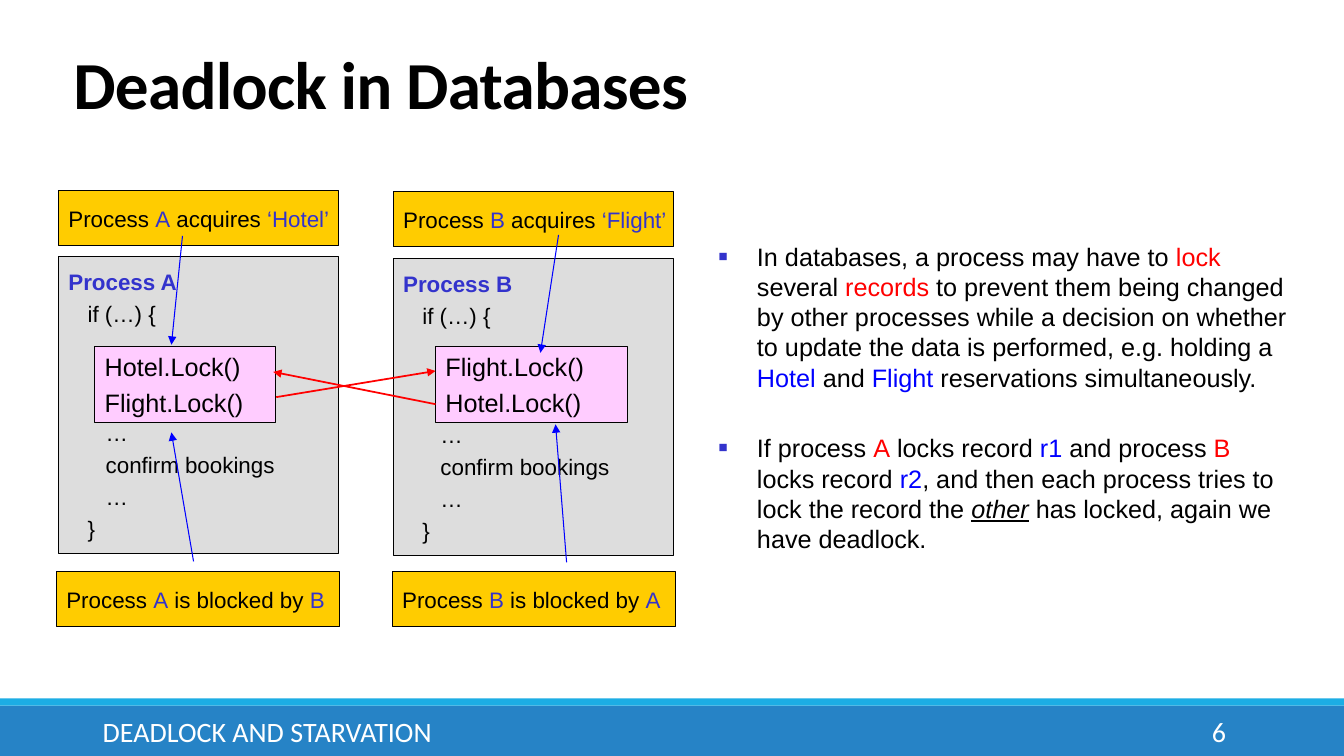
from lxml.etree import SubElement
from pptx import Presentation
from pptx.dml.color import RGBColor
from pptx.enum.shapes import MSO_CONNECTOR, MSO_SHAPE
from pptx.enum.text import MSO_ANCHOR, PP_ALIGN
from pptx.oxml.ns import qn
from pptx.util import Inches, Pt

BLACK = RGBColor(0x00, 0x00, 0x00)
WHITE = RGBColor(0xFF, 0xFF, 0xFF)
RED = RGBColor(0xFF, 0x00, 0x00)
BLUE = RGBColor(0x00, 0x00, 0xFF)
INDIGO = RGBColor(0x33, 0x33, 0xCC)
GREY = RGBColor(0xDD, 0xDD, 0xDD)
GOLD = RGBColor(0xFF, 0xCC, 0x00)
PINK = RGBColor(0xFF, 0xCC, 0xFF)
FOOTER_BLUE = RGBColor(0x26, 0x83, 0xC6)
FOOTER_CYAN = RGBColor(0x1C, 0xAD, 0xE4)


class DeadlockSlide:
    HEADING_FONT = "Calibri"
    BODY_FONT = "Arial"
    LINE_GAP = 0.23  # space before a paragraph, as a share of text size

    def __init__(self, slide):
        self.slide = slide

    def add_runs(self, paragraph, runs, size, font=BODY_FONT, color=BLACK):
        """Add runs given as plain strings or (text, color, styles) tuples."""
        for item in runs:
            text, run_color, *styles = (item, color) if isinstance(item, str) else item
            run = paragraph.add_run()
            run.text = text
            run.font.name = font
            run.font.size = Pt(size)
            run.font.color.rgb = run_color
            for style in styles:
                setattr(run.font, style, True)

    def band(self, top, height, color):
        band = self.slide.shapes.add_shape(
            MSO_SHAPE.RECTANGLE, 0, Inches(top), Inches(13.33), Inches(height))
        band.shadow.inherit = False
        band.fill.solid()
        band.fill.fore_color.rgb = color
        band.line.fill.background()

    def heading(self, left, top, width, height, text, size, color,
                anchor=MSO_ANCHOR.MIDDLE, align=PP_ALIGN.LEFT):
        """Add one line in the heading font and return its paragraph."""
        heading = self.slide.shapes.add_textbox(
            Inches(left), Inches(top), Inches(width), Inches(height))
        frame = heading.text_frame
        frame.word_wrap = True
        frame.vertical_anchor = anchor
        paragraph = frame.paragraphs[0]
        paragraph.alignment = align
        self.add_runs(paragraph, [text], size, self.HEADING_FONT, color)
        return paragraph

    def box(self, left, top, width, height, fill, lines, size):
        """Add an outlined box; each line is (indent, space before, runs)."""
        box = self.slide.shapes.add_shape(
            MSO_SHAPE.RECTANGLE, Inches(left), Inches(top), Inches(width), Inches(height))
        box.shadow.inherit = False
        box.fill.solid()
        box.fill.fore_color.rgb = fill
        box.line.color.rgb = BLACK
        box.line.width = Pt(0.75)
        frame = box.text_frame
        frame.word_wrap = True
        frame.margin_right = 0
        frame.vertical_anchor = MSO_ANCHOR.MIDDLE
        for number, (indent, space, runs) in enumerate(lines):
            paragraph = frame.add_paragraph() if number else frame.paragraphs[0]
            paragraph.alignment = PP_ALIGN.LEFT
            paragraph.space_before = Pt(space)
            paragraph._p.get_or_add_pPr().set("marL", str(Inches(indent)))
            self.add_runs(paragraph, runs, size)

    def caption(self, left, top, width, runs):
        self.box(left, top, width, 0.55, GOLD, [(0, 0, runs)], 16)

    def process(self, left, top, name):
        gap = 16 * self.LINE_GAP
        lock_gap = 66  # leaves room for the box with the lock calls
        self.box(left, top, 2.78, 2.95, GREY, [
            (0, gap, [(f"Process {name}", INDIGO, "bold")]),
            (0.19, gap, ["if (…) {"]),
            (0.37, lock_gap, ["…"]),
            (0.37, gap, ["confirm bookings"]),
            (0.37, gap, ["…"]),
            (0.19, gap, ["}"]),
        ], 16)

    def locks(self, left, width, calls):
        gap = 18 * self.LINE_GAP
        self.box(left, 3.44, width, 0.75, PINK, [(0, gap, [call]) for call in calls], 18)

    def bullets(self, left, top, width, height, items, size, gap):
        notes = self.slide.shapes.add_textbox(
            Inches(left), Inches(top), Inches(width), Inches(height))
        frame = notes.text_frame
        frame.word_wrap = True
        for number, runs in enumerate(items):
            paragraph = frame.add_paragraph() if number else frame.paragraphs[0]
            paragraph.space_before = Pt(gap if number else size * self.LINE_GAP)
            properties = paragraph._p.get_or_add_pPr()
            properties.set("marL", str(Inches(0.38)))
            properties.set("indent", str(Inches(-0.38)))
            bullet_color = SubElement(properties, qn("a:buClr"))
            SubElement(bullet_color, qn("a:srgbClr")).set("val", str(INDIGO))
            SubElement(properties, qn("a:buSzPct")).set("val", "60000")
            SubElement(properties, qn("a:buFont")).set("typeface", self.BODY_FONT)
            SubElement(properties, qn("a:buChar")).set("char", "■")
            self.add_runs(paragraph, runs, size)

    def arrow(self, start, end, color, weight):
        arrow = self.slide.shapes.add_connector(
            MSO_CONNECTOR.STRAIGHT, *(Inches(value) for value in (*start, *end)))
        arrow.line.color.rgb = color
        arrow.line.width = Pt(weight)
        SubElement(arrow.line._get_or_add_ln(), qn("a:tailEnd")).set("type", "triangle")
        SubElement(arrow._element.spPr, qn("a:effectLst"))


def main():
    deck = Presentation()
    deck.slide_width, deck.slide_height = Inches(13.33), Inches(7.5)
    page = DeadlockSlide(deck.slides.add_slide(deck.slide_layouts[6]))

    page.band(7, 0.5, FOOTER_BLUE)
    page.band(6.93, 0.07, FOOTER_CYAN)
    title = page.heading(0.63, 0.42, 11, 0.85, "Deadlock in Databases", 48, BLACK,
                         MSO_ANCHOR.BOTTOM)
    title.line_spacing = 0.85
    title.runs[0].font.bold = True
    title.runs[0].font._element.set("spc", "-50")
    page.heading(0.92, 7.06, 8.39, 0.4, "DEADLOCK AND STARVATION", 20, WHITE)
    page.heading(10.83, 7.06, 1.43, 0.4, "6", 20, WHITE, align=PP_ALIGN.RIGHT)

    columns = [
        ("A", "B", "Hotel", 0.58, 2.54, 0.56, 1.89),
        ("B", "A", "Flight", 3.9, 2.56, 3.89, 1.9),
    ]
    for name, rival, record, left, top, blocked_left, acquires_top in columns:
        page.process(left, top, name)
        page.caption(blocked_left, 5.67, 2.81, [
            "Process ", (name, INDIGO), " is blocked by ", (rival, INDIGO)])
        page.caption(left, acquires_top, 2.78, [
            "Process ", (name, INDIGO), " acquires ", (f"‘{record}’", INDIGO)])
    page.locks(0.94, 1.79, ["Hotel.Lock()", "Flight.Lock()"])
    page.locks(4.32, 1.9, ["Flight.Lock()", "Hotel.Lock()"])

    page.bullets(7.03, 2.34, 5.84, 3.38, [
        ["In databases, a process may have to ", ("lock", RED), " several ",
         ("records", RED), " to prevent them being changed by other processes while "
         "a decision on whether to update the data is performed, e.g. holding a ",
         ("Hotel", BLUE), " and ", ("Flight", BLUE), " reservations simultaneously."],
        ["If process ", ("A", RED), " locks record ", ("r1", BLUE), " and process ",
         ("B", RED), " locks record ", ("r2", BLUE),
         ", and then each process tries to lock the record the ",
         ("other", BLACK, "italic", "underline"), " has locked, again we have deadlock."],
    ], 18, 29)

    for start, end in [((2.74, 3.94), (4.32, 3.68)), ((4.32, 4.01), (2.71, 3.69))]:
        page.arrow(start, end, RED, 1.25)
    caption_arrows = [
        ((1.92, 5.57), (1.7, 4.29)),
        ((5.62, 5.58), (5.51, 4.21)),
        ((1.81, 2.34), (1.7, 3.42)),
        ((5.54, 2.33), (5.36, 3.5)),
    ]
    for start, end in caption_arrows:
        page.arrow(start, end, BLUE, 0.75)

    deck.save("out.pptx")


if __name__ == "__main__":
    main()
